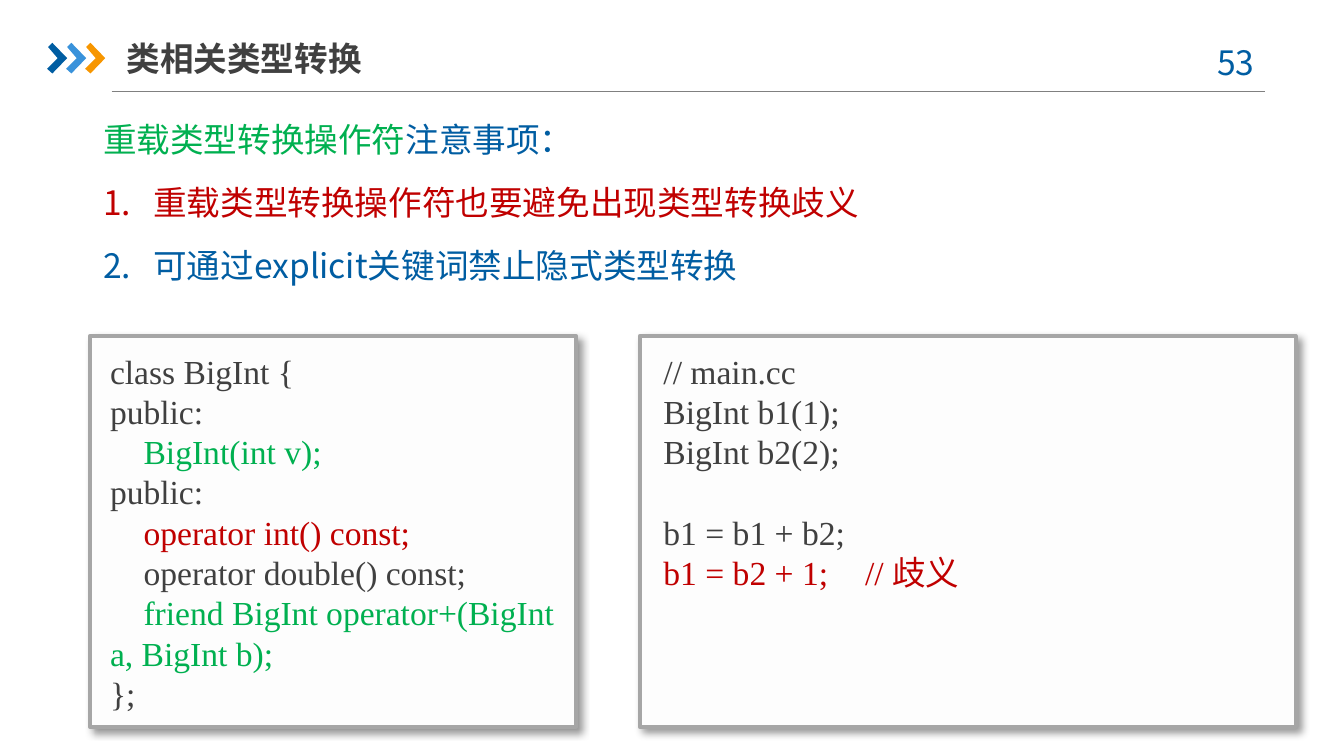
from lxml import etree
from pptx import Presentation
from pptx.dml.color import RGBColor
from pptx.enum.shapes import MSO_CONNECTOR, MSO_SHAPE
from pptx.enum.text import MSO_ANCHOR, PP_ALIGN
from pptx.oxml.ns import qn
from pptx.util import Cm, Pt

TOP, MIDDLE = MSO_ANCHOR.TOP, MSO_ANCHOR.MIDDLE
LEFT, CENTER = PP_ALIGN.LEFT, PP_ALIGN.CENTER
BLUE = RGBColor(0x00, 0x5D, 0xA2)
SKY = RGBColor(0x39, 0x92, 0xDB)
ORANGE = RGBColor(0xF7, 0x96, 0x00)
GREEN = RGBColor(0x00, 0xB0, 0x50)
RED = RGBColor(0xC0, 0x00, 0x00)
DARK = RGBColor(0x40, 0x40, 0x40)
GREY = RGBColor(0x80, 0x80, 0x80)
FRAME = RGBColor(0xA6, 0xA6, 0xA6)
PAPER = RGBColor(0xFD, 0xFD, 0xFD)
SANS, SERIF = "Noto Sans CJK SC", "Times New Roman"
SIZE, LINE = Pt(18), Pt(21.6)

# A paragraph is a list of (text, colour) runs.
TITLE = [[("类相关类型转换", DARK)]]
PAGE = [[("53", BLUE)]]
NOTES = [
    [("重载类型转换操作符", GREEN), ("注意事项：", BLUE)],
    [("重载类型转换操作符也要避免出现类型转换歧义", RED)],
    [("可通过explicit关键词禁止隐式类型转换", BLUE)],
]
CLASS_CODE = [
    [("class BigInt {", DARK)],
    [("public:", DARK)],
    [("    BigInt(int v);", GREEN)],
    [("public:", DARK)],
    [("    operator int() const;", RED)],
    [("    operator double() const;", DARK)],
    [("    friend BigInt operator+(BigInt a, BigInt b);", GREEN)],
    [("};", DARK)],
]
MAIN_CODE = [
    [("// main.cc", DARK)],
    [("BigInt b1(1);", DARK)],
    [("BigInt b2(2);", DARK)],
    [("b1 = b1 + b2;", DARK)],
    [("b1 = b2 + 1;\t// 歧义", RED)],
]
# Panels in cm: frame left and width, text left, width and height,
# code, indices of lines that follow a gap
PANELS = [
    (1.7, 9.19, 1.83, 8.92, 7.19, CLASS_CODE, ()),
    (12.09, 12.4, 12.29, 12.04, 4.88, MAIN_CODE, (3,)),
]
CHEVRON = [(0.02, 0.08), (0.1, 0), (0.38, 0.29), (0.1, 0.58), (0, 0.49), (0.2, 0.29)]
CHEVRON_LEFT, CHEVRON_TOP, CHEVRON_STEP = 0.89, 0.81, 0.36


def add_text(s, box, paras, font=SANS, bold=False, align=LEFT, anchor=TOP,
             inset=0.25, after=0, numbered=(), gaps=(), fill=None):
    """Add a text box; numbered and gaps hold paragraph indices."""
    sp = s.shapes.add_textbox(*(Cm(v) for v in box))
    if fill is not None:
        sp.fill.solid()
        sp.fill.fore_color.rgb = fill
    tf = sp.text_frame
    tf.word_wrap = True
    tf.vertical_anchor = anchor
    tf.margin_left = tf.margin_right = Cm(inset)
    for i, runs in enumerate(paras):
        p = tf.paragraphs[0] if i == 0 else tf.add_paragraph()
        p.alignment = align
        p.line_spacing = LINE
        p.space_after = Pt(after)
        if i in gaps:
            p.space_before = LINE
        if i in numbered:
            pPr = p._p.get_or_add_pPr()
            pPr.set("marL", str(Cm(0.95)))
            pPr.set("indent", str(-Cm(0.95)))
            etree.SubElement(pPr, qn("a:buAutoNum"), type="arabicPeriod")
        for text, color in runs:
            r = p.add_run()
            r.text = text
            r.font.size, r.font.name, r.font.bold = SIZE, font, bold
            r.font.color.rgb = color
            etree.SubElement(r._r.get_or_add_rPr(), qn("a:ea"), typeface=SANS)


def add_frame(s, left, width):
    sp = s.shapes.add_shape(MSO_SHAPE.RECTANGLE, Cm(left), Cm(6.35), Cm(width), Cm(7.39))
    sp.fill.solid()
    sp.fill.fore_color.rgb = PAPER
    sp.line.color.rgb = FRAME
    sp.line.width = Pt(2)
    sp.shadow.inherit = False
    effects = sp._element.spPr.find(qn("a:effectLst"))
    shadow = etree.SubElement(effects, qn("a:outerShdw"), blurRad=str(Pt(4)),
                              dist=str(Pt(3)), dir="2700000", algn="tl", rotWithShape="0")
    black = etree.SubElement(shadow, qn("a:srgbClr"), val="000000")
    etree.SubElement(black, qn("a:alpha"), val="40000")


def add_chevron(s, left, color):
    pts = [(Cm(left + x), Cm(CHEVRON_TOP + y)) for x, y in CHEVRON]
    fb = s.shapes.build_freeform(*pts[0])
    fb.add_line_segments(pts[1:], close=True)
    sp = fb.convert_to_shape()
    sp.fill.solid()
    sp.fill.fore_color.rgb = color
    sp.line.fill.background()
    sp.shadow.inherit = False


def main():
    prs = Presentation()
    prs.slide_width, prs.slide_height = Cm(25.4), Cm(14.29)
    s = prs.slides.add_slide(prs.slide_layouts[6])

    rule = s.shapes.add_connector(MSO_CONNECTOR.STRAIGHT, Cm(2.11), Cm(1.73), Cm(23.9), Cm(1.73))
    rule.line.color.rgb = GREY
    rule.line.width = Pt(0.75)
    etree.SubElement(rule._element.spPr, qn("a:effectLst"))
    for i, color in enumerate((BLUE, SKY, ORANGE)):
        add_chevron(s, CHEVRON_LEFT + i * CHEVRON_STEP, color)

    add_text(s, (22.43, 0.66, 1.85, 1.02), PAGE, align=CENTER)
    add_text(s, (2.39, 0.56, 5.92, 1.07), TITLE, bold=True, anchor=MIDDLE, inset=0)
    add_text(s, (1.7, 2.13, 22, 5.38), NOTES, after=12, numbered=(1, 2))
    for left, width, text_left, text_width, text_height, code, gaps in PANELS:
        add_frame(s, left, width)
        add_text(s, (text_left, 6.5, text_width, text_height), code,
                 font=SERIF, gaps=gaps, fill=PAPER)

    prs.save("out.pptx")


if __name__ == "__main__":
    main()
